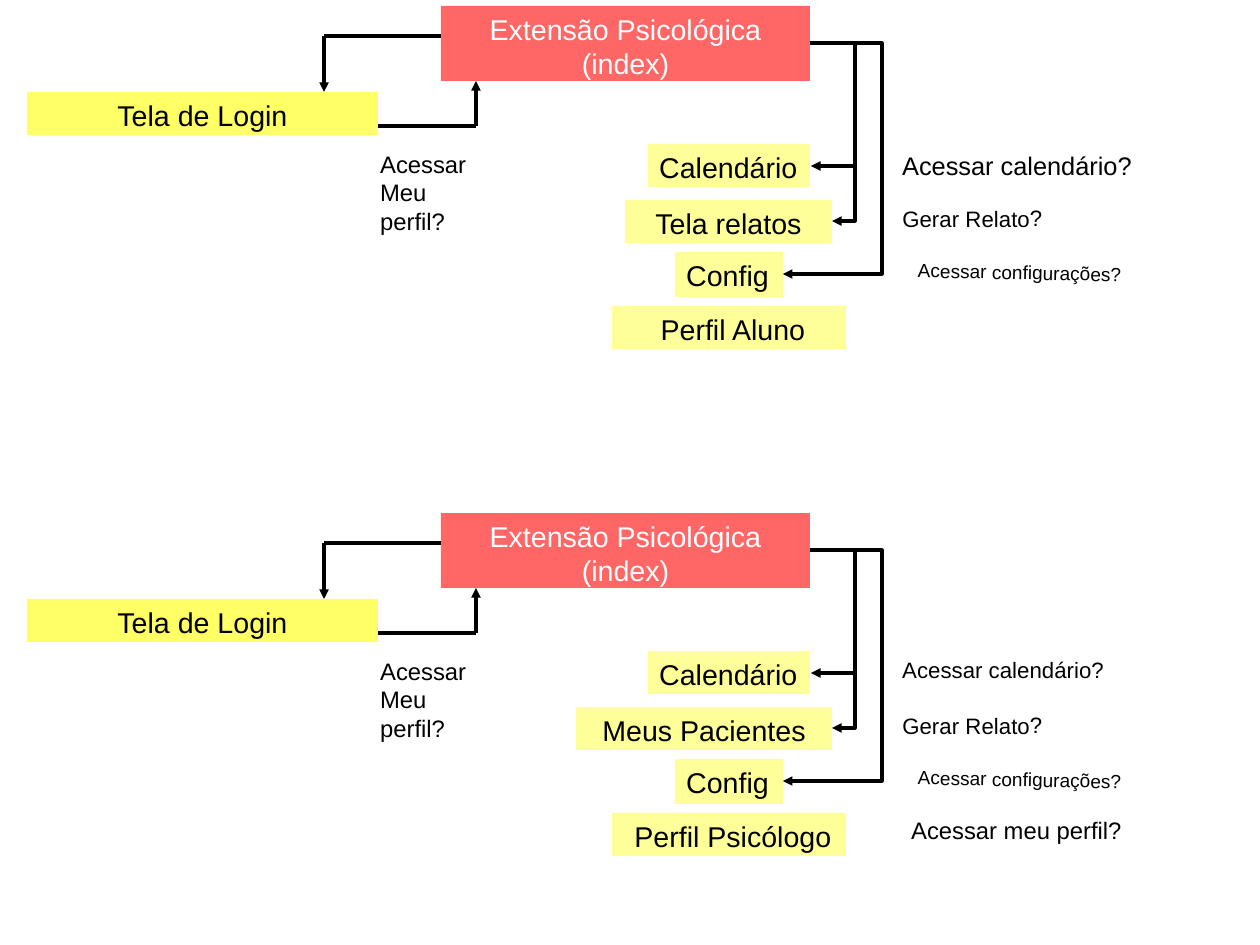
from lxml import etree
from pptx import Presentation, util as u
from pptx.dml.color import RGBColor
from pptx.enum import shapes, text
from pptx.oxml.ns import qn

HEX = {"red": "FF6666", "login": "FFFF66", "pale": "FFFF99",
       "black": "000000", "white": "FFFFFF"}
PX = 8000
STEP = 507  # from the first flow down to the second
MID, LEFT = text.PP_ALIGN.CENTER, text.PP_ALIGN.LEFT

# Content shared by both flows: lines, place, fill, align
BOXES = [
    (["Extensão Psicológica", "(index)"], (441, 6, 369, 75), "red", MID),
    (["Tela de Login"], (27, 92, 351, 43), "login", MID),
    (["Calendário"], (648, 144, 162, 43), "pale", LEFT),
    (["Config"], (675, 252, 108, 45), "pale", LEFT),
]
# lines, place, size, align, turn
NOTES = [
    (["Acessar", "Meu perfil?"], (369, 144, 126, 99), 15, LEFT, 0),
    (["Gerar Relato?"], (891, 199, 251, 37), 14, LEFT, -0.4),
    (["Acessar configurações?"], (891, 255, 257, 33), 12, MID, 1.1),
]
# Content that differs from flow to flow
FLOWS = [
    {"boxes": [(["Tela relatos"], (625, 200, 207, 43), "pale", MID),
               ([" Perfil Aluno"], (612, 306, 234, 43), "pale", MID)],
     "notes": [(["Acessar calendário?"], (891, 144, 288, 40), 16, LEFT, 0)]},
    {"boxes": [(["Meus Pacientes"], (576, 200, 256, 43), "pale", MID),
               ([" Perfil Psicólogo"], (612, 306, 234, 43), "pale", MID)],
     "notes": [(["Acessar calendário?"], (891, 144, 234, 37), 14, LEFT, 0),
               (["Acessar meu perfil?"], (900, 303, 270, 38), 15, LEFT, 0)]},
]
# start, end, arrowhead
LINES = [
    ((441, 36), (324, 36), False),
    ((324, 36), (324, 92), True),
    ((378, 126), (476, 126), False),
    ((476, 126), (476, 81), True),
]
# Elbows leave the index box: end, x of the upright part
PORT = (810, 43)
ELBOWS = [((811, 166), 855), ((832, 221), 855), ((783, 274), 882)]

deck = Presentation()
deck.slide_width, deck.slide_height = 1260 * PX, 945 * PX
slide = deck.slides.add_slide(deck.slide_layouts[6])


def place(at, top):
    x, y, w, h = at
    return x * PX, (y + top) * PX, w * PX, h * PX


def write(shape, lines, size, color, align):
    frame = shape.text_frame
    frame.word_wrap = True
    frame.auto_size = text.MSO_AUTO_SIZE.SHAPE_TO_FIT_TEXT
    frame.vertical_anchor = text.MSO_ANCHOR.TOP
    for i, line in enumerate(lines):
        para = frame.add_paragraph() if i else frame.paragraphs[0]
        para.alignment = align
        run = para.add_run()
        run.text = line
        run.font.name, run.font.size = "Arial", u.Pt(size)
        run.font.color.rgb = RGBColor.from_string(HEX[color])


def box(top, lines, at, fill, align):
    shape = slide.shapes.add_shape(shapes.MSO_SHAPE.RECTANGLE, *place(at, top))
    shape.shadow.inherit = False
    shape.fill.solid()
    shape.fill.fore_color.rgb = RGBColor.from_string(HEX[fill])
    shape.line.fill.background()
    write(shape, lines, 18, "white" if fill == "red" else "black", align)


def note(top, lines, at, size, align, turn):
    shape = slide.shapes.add_textbox(*place(at, top))
    shape.rotation = turn
    write(shape, lines, size, "black", align)


def link(top, start, end, arrow, bend=None):
    kind = shapes.MSO_CONNECTOR.STRAIGHT if bend is None else shapes.MSO_CONNECTOR.ELBOW
    (x1, y1), (x2, y2) = start, end
    line = slide.shapes.add_connector(
        kind, x1 * PX, (y1 + top) * PX, x2 * PX, (y2 + top) * PX)
    line.line.color.rgb = RGBColor.from_string(HEX["black"])
    line.line.width = 0
    props = line._element.spPr
    if arrow:
        etree.SubElement(props.find(qn("a:ln")), qn("a:tailEnd"), type="triangle")
    etree.SubElement(props, qn("a:effectLst"))
    if bend is not None:
        ratio = round((bend - x1) / (x2 - x1) * 100000)
        guides = props.find(qn("a:prstGeom")).get_or_add_avLst()
        etree.SubElement(guides, qn("a:gd"), name="adj1", fmla=f"val {ratio}")


# Draw both flows
for i, flow in enumerate(FLOWS):
    top = i * STEP
    for item in BOXES + flow["boxes"]:
        box(top, *item)
    for item in NOTES + flow["notes"]:
        note(top, *item)
    for item in LINES:
        link(top, *item)
    for end, bend in ELBOWS:
        link(top, PORT, end, True, bend)

deck.save("out.pptx")
